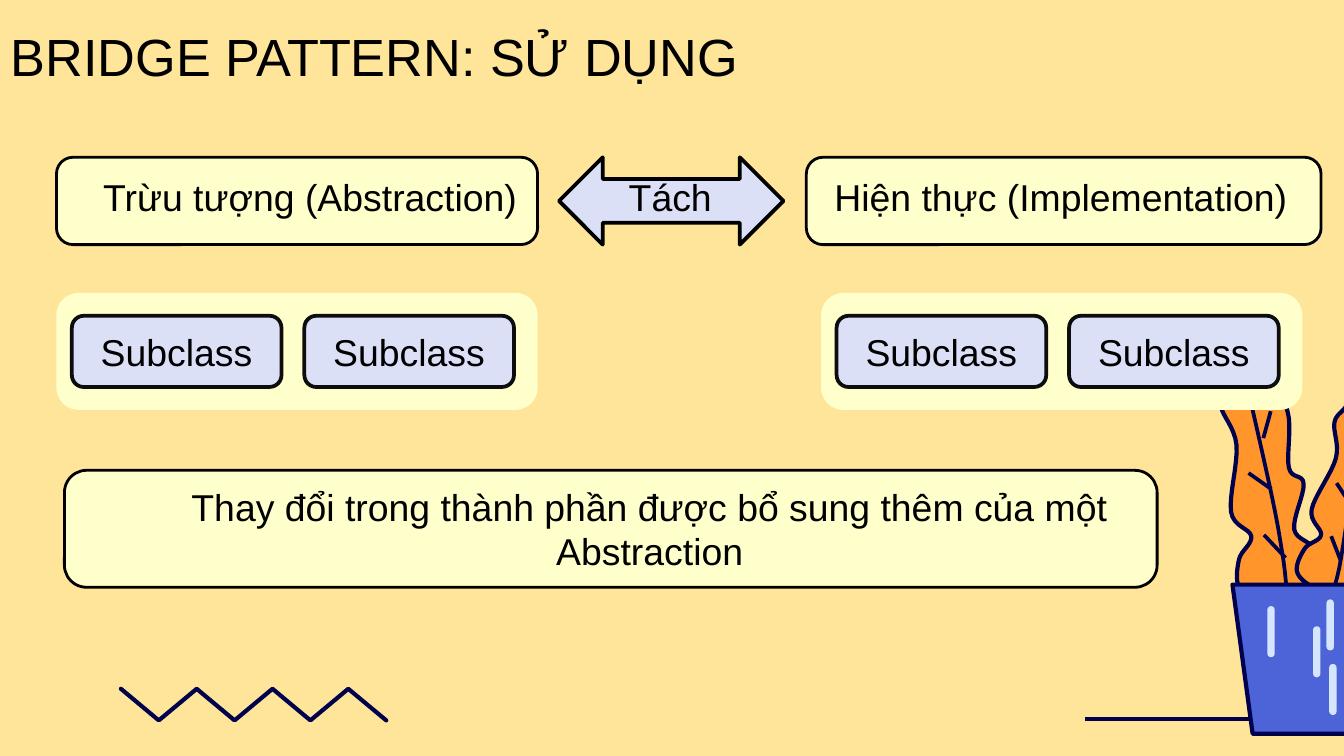
"""Builds the Bridge pattern usage slide on a grid of tenth-of-an-inch cells."""
from dataclasses import dataclass
from typing import Optional

from lxml import etree
from pptx import Presentation, util as u
from pptx.dml import color
from pptx.enum import shapes, text
from pptx.oxml import ns

CELL = u.Inches(0.1)
COLUMNS, ROWS = 100, 56.25
FONT = "Arial"
SAND, CREAM, LILAC = "FFE599", "FFFFCC", "DBE0F7"
BLACK, SOFT_BLACK, NAVY = "000000", "0D0D0D", "00004D"
ORANGE, BLUE, PALE = "FF952B", "4C64D8", "D5E6FC"
ROUNDED = shapes.MSO_SHAPE.ROUNDED_RECTANGLE
Point = tuple[float, float]


@dataclass
class Area:
    column: float
    row: float
    columns: float
    rows: float


@dataclass
class Block:
    area: Area
    fill: str
    line: Optional[str] = None
    width: float = 1.5
    kind: int = ROUNDED
    corner: Optional[float] = 0.189
    label: str = ""


@dataclass
class Caption:
    area: Area
    label: str
    align: int = text.PP_ALIGN.LEFT


@dataclass
class Leaf:
    outline: list[Point]
    midrib: list[Point]
    veins: list[tuple[Point, Point]]


LEAVES = [
    Leaf([(91.2, 23.4), (90.6, 23.6), (90.4, 24.4), (91.3, 28), (90.8, 30.1), (92, 33.1),
          (91.6, 38.1), (93.1, 39.9), (92.2, 41.6), (92.2, 43.7), (93.9, 44.6), (96.3, 44.4),
          (97.8, 41.1), (96.3, 39.4), (97, 36), (95.9, 34.8), (95.8, 30.6), (93.8, 27.4),
          (91.9, 23.5)],
         [(91.9, 24.8), (94.5, 36.3), (95.4, 41.1), (95.7, 43.5)],
         [((92.9, 35.2), (94.6, 36.4)), ((94.05, 39.8), (95.65, 41.5)),
          ((94.55, 30.6), (94, 32.6))]),
    Leaf([(101.3, 26.2), (100.6, 26.8), (100.3, 29.9), (99.3, 31.4), (99.4, 34.1), (97.6, 37.9),
          (98.3, 39.8), (97.1, 40.8), (96.5, 42.5), (97.7, 43.7), (99.6, 44.2), (101.7, 42),
          (101, 40.3), (102.4, 37.8), (102, 36.6), (103.1, 33.2), (102.5, 30.1), (102.1, 26.5)],
         [(101.7, 27.5), (100.4, 37.4), (99.75, 41.7), (99.35, 43.5)],
         [((99.45, 35.95), (100.4, 37.4)), ((99.05, 39.9), (99.75, 41.7))]),
]
POT = [(91.7, 43.5), (93.2, 54.6), (100.9, 54.6), (101.9, 43.5)]
GLINTS = [(94.3, 45.1), (98.7, 44.6), (97.7, 46.6), (98.9, 49.4)]
ZIGZAG = [(9 + 2.82 * step, 53.6 if step % 2 else 51.25) for step in range(8)]

PANELS = [Area(column, 21.8, 35.8, 8.7) for column in (4.2, 61.1)]
BLOCKS = [
    Block(Area(4.2, 11.7, 35.8, 6.5), CREAM, BLACK),
    Block(Area(60, 11.7, 38.3, 6.5), CREAM, BLACK),
    Block(Area(41.6, 11.7, 16.7, 6.5), LILAC, BLACK, 2,
          shapes.MSO_SHAPE.LEFT_RIGHT_ARROW, None),
    *[Block(panel, CREAM) for panel in PANELS],
    *[Block(Area(panel.column + 1.15 + 17.3 * place, 23.5, 15.6, 5.3), LILAC, SOFT_BLACK, 2,
            corner=None, label="Subclass") for panel in PANELS for place in range(2)],
    Block(Area(4.8, 35, 81.3, 8.7), CREAM, BLACK),
]
CAPTIONS = [
    Caption(Area(6.7, 12.5, 33.3, 4.4), "Trừu tượng (Abstraction)"),
    Caption(Area(61.1, 12.5, 37.2, 4.4), "Hiện thực (Implementation)"),
    Caption(Area(45.8, 12.5, 8.4, 4.4), "Tách"),
    Caption(Area(10.6, 35.5, 75.5, 7.7),
            "Thay đổi trong thành phần được bổ sung thêm của một Abstraction",
            text.PP_ALIGN.CENTER),
]


def cells(*counts: float) -> list[u.Emu]:
    """Turn counts of grid cells into lengths."""
    return [u.Emu(round(count * CELL)) for count in counts]


def frame(area: Area) -> list[u.Emu]:
    """Give the left, top, width and height of an area."""
    return cells(area.column, area.row, area.columns, area.rows)


def rgb(value: str) -> color.RGBColor:
    """Turn a hex string into a colour."""
    return color.RGBColor.from_string(value)


def paint(shape, fill: Optional[str], line: Optional[str], width: float = 1.5) -> None:
    """Set the fill and outline of a shape and drop its shadow."""
    shape.shadow.inherit = False
    if fill:
        shape.fill.solid()
        shape.fill.fore_color.rgb = rgb(fill)
    else:
        shape.fill.background()
    if line:
        shape.line.color.rgb = rgb(line)
        shape.line.width = u.Pt(width)
    else:
        shape.line.fill.background()


def write(box, label: str, align: int, size: float = 20) -> None:
    """Put one run of text in a shape."""
    box.text_frame.word_wrap = True
    para = box.text_frame.paragraphs[0]
    para.alignment = align
    span = para.add_run()
    span.text = label
    span.font.name = FONT
    span.font.size = u.Pt(size)
    span.font.color.rgb = rgb(BLACK)


def smooth(points: list[Point], closed: bool, steps: int = 8) -> list[Point]:
    """Run a Catmull-Rom curve through the points."""
    ring = [points[-1], *points, *points[:2]] if closed else [points[0], *points, points[-1]]
    curve = []
    for a, b, c, d in zip(ring, ring[1:], ring[2:], ring[3:]):
        for step in range(steps):
            t = step / steps
            curve.append(tuple(
                (2 * q + (r - p) * t + (2 * p - 5 * q + 4 * r - s) * t ** 2
                 + (3 * q - p - 3 * r + s) * t ** 3) / 2
                for p, q, r, s in zip(a, b, c, d)))
    return curve if closed else [*curve, points[-1]]


def draw_path(page, points: list[Point], fill: Optional[str], width: float = 2.25) -> None:
    """Draw a navy outline, closed when it has a fill."""
    start, *rest = [cells(*point) for point in points]
    builder = page.shapes.build_freeform(*start)
    builder.add_line_segments(rest, close=fill is not None)
    shape = builder.convert_to_shape()
    paint(shape, fill, NAVY, width)
    outline = shape.line._get_or_add_ln()
    outline.set("cap", "rnd")
    etree.SubElement(outline, ns.qn("a:round"))


def draw_line(page, start: Point, end: Point, width: float) -> None:
    """Draw a straight navy line."""
    line = page.shapes.add_connector(
        shapes.MSO_CONNECTOR.STRAIGHT, *cells(*start), *cells(*end))
    line.line.color.rgb = rgb(NAVY)
    line.line.width = u.Pt(width)
    etree.SubElement(line._element.spPr, ns.qn("a:effectLst"))


def draw_block(page, block: Block) -> None:
    """Draw a preset shape with its optional label."""
    shape = page.shapes.add_shape(block.kind, *frame(block.area))
    paint(shape, block.fill, block.line, block.width)
    if block.corner is not None:
        shape.adjustments[0] = block.corner
    if block.label:
        shape.text_frame.vertical_anchor = text.MSO_ANCHOR.MIDDLE
        write(shape, block.label, text.PP_ALIGN.CENTER)


def draw_caption(page, caption: Caption) -> None:
    """Draw a text box."""
    box = page.shapes.add_textbox(*frame(caption.area))
    write(box, caption.label, caption.align)
    box.text_frame.auto_size = text.MSO_AUTO_SIZE.SHAPE_TO_FIT_TEXT


def draw_plant(page) -> None:
    """Draw the leaves, the pot and its glints."""
    for leaf in LEAVES:
        draw_path(page, smooth(leaf.outline, True), ORANGE)
        draw_path(page, smooth(leaf.midrib, False), None, 2)
        for start, end in leaf.veins:
            draw_line(page, start, end, 2)
    draw_path(page, POT, BLUE)
    for column, row in GLINTS:
        draw_block(page, Block(Area(column, row, 0.55, 3.8), PALE, corner=0.5))


def set_title(page) -> None:
    """Place and format the title."""
    title = page.shapes.title
    title.left, title.top, title.width, title.height = frame(Area(-3.3, 0.4, 61.1, 7.7))
    box = title.text_frame
    box.auto_size = text.MSO_AUTO_SIZE.NONE
    box.vertical_anchor = text.MSO_ANCHOR.MIDDLE
    box.margin_left, box.margin_top, box.margin_right, box.margin_bottom = cells(1, 1, 1, 1.3)
    write(title, "BRIDGE PATTERN: SỬ DỤNG", text.PP_ALIGN.CENTER, 28)
    layout = box.paragraphs[0]._p.get_or_add_pPr()
    layout.set("marL", str(u.Inches(0.5)))
    layout.set("indent", str(u.Inches(-0.38)))


def main() -> None:
    """Build and save the deck."""
    deck = Presentation()
    deck.slide_width, deck.slide_height = cells(COLUMNS, ROWS)
    page = deck.slides.add_slide(deck.slide_layouts[5])
    page.background.fill.solid()
    page.background.fill.fore_color.rgb = rgb(SAND)
    set_title(page)
    draw_plant(page)
    draw_path(page, ZIGZAG, None)
    draw_line(page, (93.1, 53.5), (80.7, 53.5), 2.25)
    for block in BLOCKS:
        draw_block(page, block)
    for caption in CAPTIONS:
        draw_caption(page, caption)
    deck.save("out.pptx")


if __name__ == "__main__":
    main()
